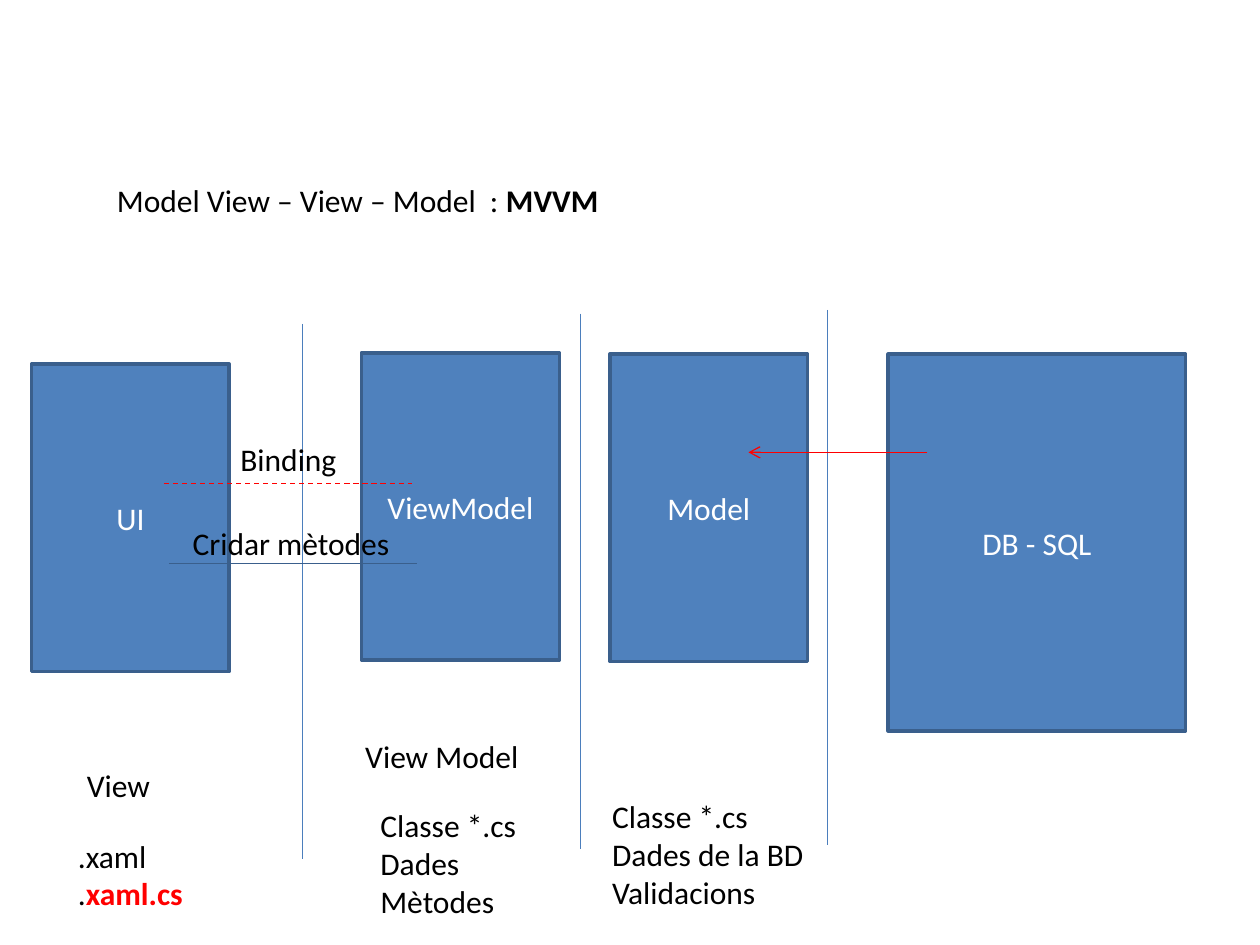
from pptx import Presentation
from pptx.dml.color import RGBColor
from pptx.enum.dml import MSO_LINE
from pptx.enum.shapes import MSO_CONNECTOR, MSO_SHAPE
from pptx.enum.text import MSO_ANCHOR, PP_ALIGN
from pptx.oxml.ns import qn
from pptx.util import Inches, Pt
from lxml.etree import SubElement

BLUE = RGBColor(0x4F, 0x81, 0xBD)
EDGE = RGBColor(0x3A, 0x5F, 0x8C)
DIVIDER = RGBColor(0x4B, 0x7E, 0xBC)
RED = RGBColor(0xFF, 0x00, 0x00)
BLACK = RGBColor(0x00, 0x00, 0x00)
WHITE = RGBColor(0xFF, 0xFF, 0xFF)

# Grid of 100 columns by 75 rows
SLIDE_W, SLIDE_H = Inches(10), Inches(7.5)
COLUMN, ROW = SLIDE_W / 100, SLIDE_H / 75
LAYER_W, LAYER_H = 15.7, 24.4
DIVIDER_H = 42.5
LINE_H, TEXT_PAD = 3.05, 0.95


def grid(*lengths):
    return [round(n * unit) for n, unit in zip(lengths, (COLUMN, ROW) * 2)]


def style(run, color, bold=None):
    run.font.name, run.font.size = "Calibri", Pt(18)
    run.font.color.rgb, run.font.bold = color, bold


def add_label(slide, left, top, width, lines, emphasis="", accent=BLACK):
    """Left-aligned lines; the emphasis ends the last one in bold."""
    height = LINE_H * len(lines) + TEXT_PAD
    frame = slide.shapes.add_textbox(*grid(left, top, width, height)).text_frame
    frame.word_wrap = False
    frame.text = "\n".join(lines)
    for paragraph in frame.paragraphs:
        for run in paragraph.runs:
            style(run, BLACK)
    if emphasis:
        ending = frame.paragraphs[-1].add_run()
        ending.text = emphasis
        style(ending, accent, True)


def add_link(slide, start, end, color, dash=None, arrow=False):
    link = slide.shapes.add_connector(MSO_CONNECTOR.STRAIGHT, *grid(*start, *end))
    link.line.color.rgb, link.line.width = color, Pt(0.75)
    if dash:
        link.line.dash_style = dash
    if arrow:
        SubElement(link.line._get_or_add_ln(), qn("a:tailEnd"), type="arrow")
    SubElement(link._element.spPr, qn("a:effectLst"))


def add_block(slide, box, name):
    block = slide.shapes.add_shape(MSO_SHAPE.RECTANGLE, *grid(*box))
    block.shadow.inherit = False
    block.fill.solid()
    block.fill.fore_color.rgb = BLUE
    block.line.color.rgb, block.line.width = EDGE, Pt(2)
    frame = block.text_frame
    frame.text = name
    frame.vertical_anchor = MSO_ANCHOR.MIDDLE
    frame.paragraphs[0].alignment = PP_ALIGN.CENTER
    style(frame.paragraphs[0].runs[0], WHITE)


def add_layer(slide, box, name, divider, labels):
    """A block, the divider to its right and the labels under it."""
    left, top, width, height = box
    right, bottom = left + width, top + height
    add_block(slide, box, name)
    gap, rise = divider
    x, y = right + gap, top - rise
    add_link(slide, (x, y), (x, y + DIVIDER_H), DIVIDER)
    for dx, dy, label_w, *text in labels:
        add_label(slide, left + dx, bottom + dy, label_w, *text)


def add_view_links(slide, box):
    """Binding and method calls between the view and its view model."""
    left, top, width, height = box
    bottom = top + height
    add_link(slide, (left, top), (left + width, top), RED, MSO_LINE.DASH)
    add_label(slide, left + 5.1, top - 4, 9.7, ["Binding"])
    add_link(slide, (left + 0.4, bottom), (left + 0.4 + width, bottom), EDGE)
    add_label(slide, left + 1.3, bottom - 3.6, 17.8, ["Cridar mètodes"])


def build_mvvm(slide):
    add_label(slide, 8.3, 13.9, 76.4, ["Model View – View – Model  : "], "MVVM")

    # Layers: left, top, name, divider (gap, rise), labels (dx, dy, width, text)
    layers = [
        (2.5, 28.9, "UI", (5.8, 3.2), [
            (3.4, 7, 7.1, ["View"]),
            (2.7, 12.6, 10.4, [".xaml", "."], "xaml.cs", RED)]),
        (28.7, 28, "ViewModel", (1.7, 3.1), [
            (-0.7, 5.6, 14.9, ["View Model"]),
            (0.5, 11.1, 12.9, ["Classe *.cs", "Dades", "Mètodes"])]),
        (48.4, 28.1, "Model", (1.6, 3.5), [
            (-0.8, 10.3, 17.4, ["Classe *.cs", "Dades de la BD", "Validacions"])]),
    ]
    for left, top, *parts in layers:
        add_layer(slide, (left, top, LAYER_W, LAYER_H), *parts)

    # Database, feeding the model
    add_block(slide, (70.5, 28.1, 23.6, 29.9), "DB - SQL")
    add_link(slide, (73.6, 35.9), (59.4, 35.9), RED, arrow=True)

    add_view_links(slide, (13, 38.4, 19.7, 6.3))


def main():
    deck = Presentation()
    deck.slide_width, deck.slide_height = SLIDE_W, SLIDE_H
    build_mvvm(deck.slides.add_slide(deck.slide_layouts[6]))
    deck.save("out.pptx")


if __name__ == "__main__":
    main()
